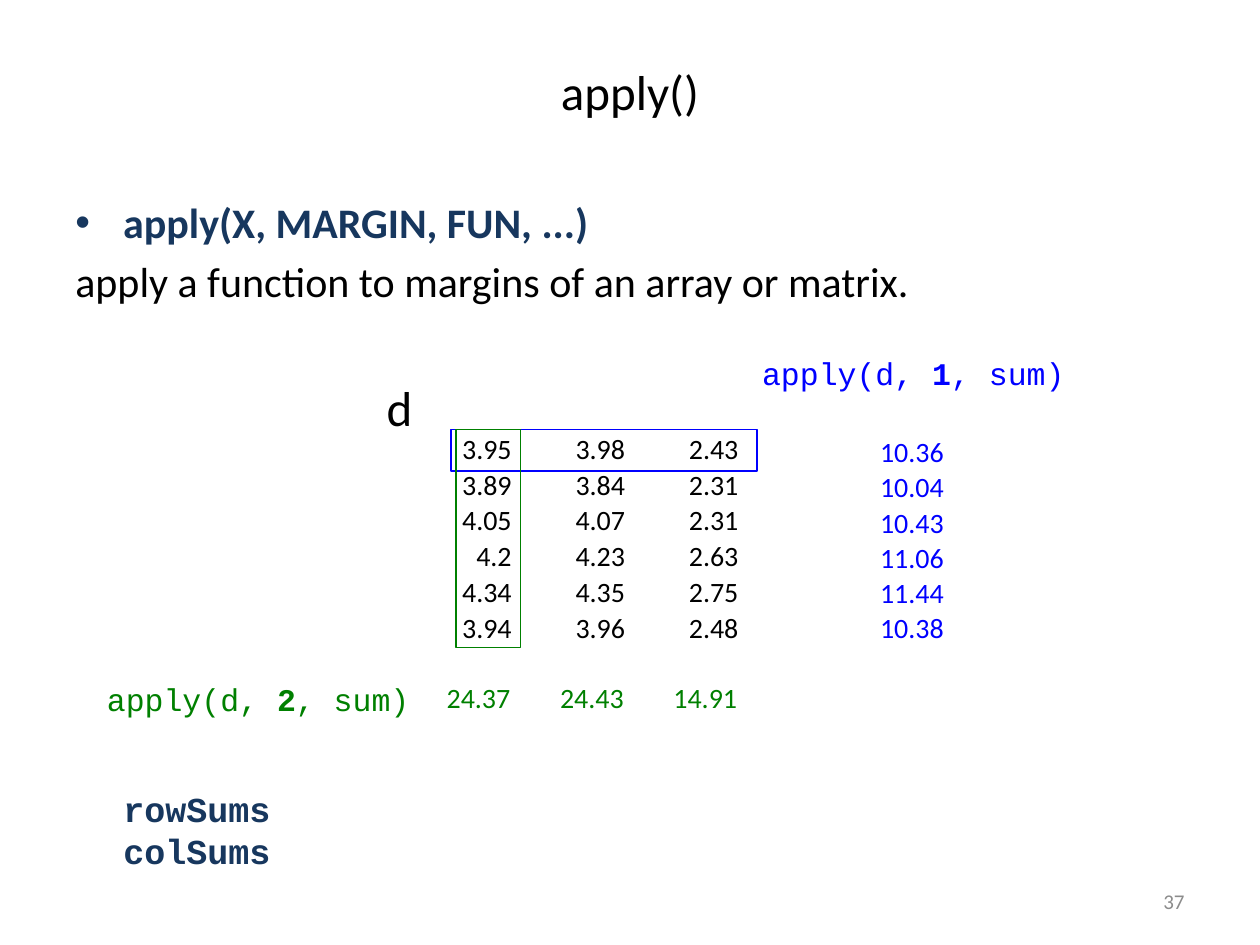
from pptx import Presentation
from pptx.dml.color import RGBColor
from pptx.enum.shapes import MSO_SHAPE as Shape
from pptx.enum.text import MSO_ANCHOR as Anchor, MSO_AUTO_SIZE as AutoSize, PP_ALIGN as Align
from pptx.oxml.ns import qn
from pptx.util import Inches, Pt
from lxml.etree import SubElement

BLACK, NAVY, BLUE, GREEN, GRAY = "000000", "17375E", "0000FF", "008000", "8C8C8C"
CODE = "Courier New"


def color(hex_code):
    return RGBColor.from_string(hex_code)


def write(paragraph, text, size=16, ink=BLACK, font="Calibri", bold=False,
          align=Align.LEFT, before=0, bullet=None):
    paragraph.alignment = align
    paragraph.space_before = Pt(before)
    for index, piece in enumerate(text.split("*")):
        run = paragraph.add_run()
        run.text = piece
        run.font.name = font
        run.font.size = Pt(size)
        run.font.bold = bold or index % 2 == 1
        run.font.color.rgb = color(ink)
    if bullet:
        properties = paragraph._p.get_or_add_pPr()
        properties.set("marL", str(Inches(0.38)))
        properties.set("indent", str(-Inches(0.38)))
        SubElement(properties, qn("a:buFont")).set("typeface", "Arial")
        SubElement(properties, qn("a:buChar")).set("char", bullet)


class MatrixSlide:
    column_width = 0.9

    def __init__(self, deck):
        self.shapes = deck.slides.add_slide(deck.slide_layouts[6]).shapes

    def text(self, left, top, width, height, *lines, anchor=Anchor.TOP, wrap=True):
        frame = self.shapes.add_textbox(*map(Inches, (left, top, width, height))).text_frame
        frame.word_wrap = wrap
        frame.auto_size = AutoSize.NONE if wrap else AutoSize.SHAPE_TO_FIT_TEXT
        frame.vertical_anchor = anchor
        for index, (line, style) in enumerate(lines):
            write(frame.add_paragraph() if index else frame.paragraphs[0], line, **style)

    def label(self, left, top, width, height, *lines, **style):
        self.text(left, top, width, height, *((line, style) for line in lines), wrap=False)

    def numbers(self, left, top, rows, row_height=0.28, ink=BLACK):
        columns = len(rows[0])
        table = self.shapes.add_table(
            len(rows), columns, Inches(left), Inches(top),
            Inches(self.column_width * columns), Inches(row_height * len(rows))).table
        table.first_row = table.horz_banding = False
        for row, values in zip(table.rows, rows):
            row.height = Inches(row_height)
            for cell, value in zip(row.cells, values):
                cell.fill.background()
                cell.vertical_anchor = Anchor.BOTTOM
                cell.margin_left = cell.margin_right = cell.margin_top = Inches(0.01)
                cell.margin_bottom = 0
                write(cell.text_frame.paragraphs[0], value, ink=ink, align=Align.RIGHT)

    def outline(self, left, top, width, height, ink):
        margin = self.shapes.add_shape(Shape.RECTANGLE, *map(Inches, (left, top, width, height)))
        margin.shadow.inherit = False
        margin.fill.background()
        margin.line.color.rgb = color(ink)
        margin.line.width = Pt(0.75)


def main():
    deck = Presentation()
    deck.slide_width, deck.slide_height = Inches(10), Inches(7.5)
    slide = MatrixSlide(deck)

    slide.text(0.5, 0.3, 9, 0.85, ("apply()", dict(size=28, align=Align.CENTER)),
               anchor=Anchor.MIDDLE)
    slide.text(0.5, 1.51, 9, 1.1,
               ("apply(X, MARGIN, FUN, ...)",
                dict(size=24, ink=NAVY, bold=True, before=4.8, bullet="•")),
               ("apply a function to margins of an array or matrix.", dict(size=24, before=4.8)))

    matrix = [
        ("3.95", "3.98", "2.43"),
        ("3.89", "3.84", "2.31"),
        ("4.05", "4.07", "2.31"),
        ("4.2", "4.23", "2.63"),
        ("4.34", "4.35", "2.75"),
        ("3.94", "3.96", "2.48"),
    ]
    row_sums = [("10.36",), ("10.04",), ("10.43",), ("11.06",), ("11.44",), ("10.38",)]
    column_sums = [("24.37", "24.43", "14.91")]

    slide.numbers(3.17, 3.42, matrix, row_height=0.285)
    slide.label(2.97, 2.95, 0.41, 0.57, "d", size=28)
    slide.label(5.95, 2.76, 2.63, 0.4, "apply(d, *1*, sum)", size=18, ink=BLUE, font=CODE)
    slide.numbers(3.16, 5.37, column_sums, row_height=0.31, ink=GREEN)
    slide.numbers(6.6, 3.45, row_sums, ink=BLUE)
    slide.outline(3.58, 3.41, 2.43, 0.33, BLUE)
    slide.outline(3.62, 3.41, 0.51, 1.73, GREEN)
    slide.label(0.75, 5.35, 2.63, 0.4, "apply(d, *2*, sum)", size=18, ink=GREEN, font=CODE)
    slide.label(0.88, 6.2, 1.38, 0.77, "rowSums", "colSums",
                size=20, ink=NAVY, font=CODE, bold=True)
    slide.text(7.17, 6.95, 2.33, 0.4, ("37", dict(size=12, ink=GRAY, align=Align.RIGHT)),
               anchor=Anchor.MIDDLE)

    deck.save("out.pptx")


if __name__ == "__main__":
    main()
